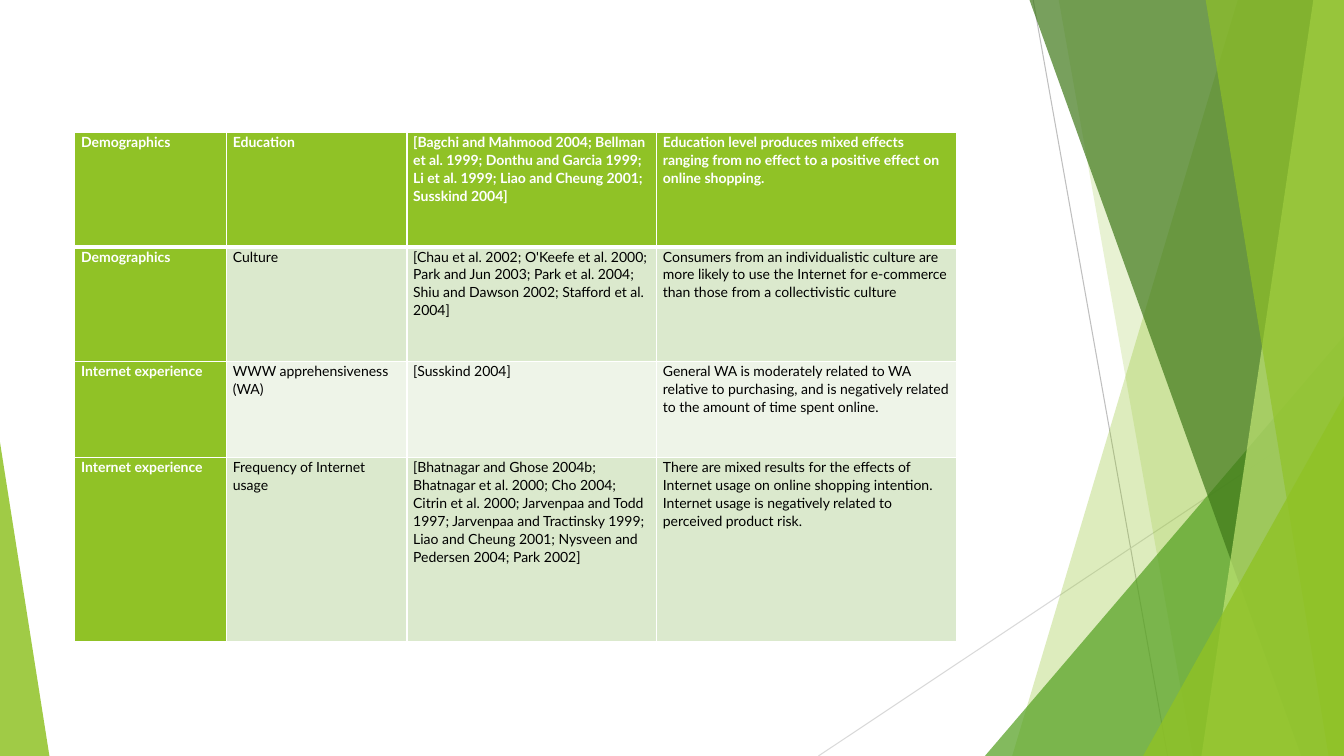
from lxml import etree
from pptx import Presentation
from pptx.dml.color import RGBColor
from pptx.enum.shapes import MSO_CONNECTOR, MSO_SHAPE
from pptx.oxml.ns import qn
from pptx.util import Pt

STRAIGHT = MSO_CONNECTOR.STRAIGHT
TRIANGLE = MSO_SHAPE.ISOSCELES_TRIANGLE

WHITE = RGBColor(0xFF, 0xFF, 0xFF)
BLACK = RGBColor(0x00, 0x00, 0x00)
LIME = RGBColor(0x90, 0xC2, 0x26)
LIGHT_LIME = RGBColor(0xC0, 0xE4, 0x74)
GREEN = RGBColor(0x54, 0xA0, 0x21)
DARK_GREEN = RGBColor(0x3F, 0x78, 0x19)
BAND_DARK = RGBColor(0xDB, 0xE9, 0xCD)
BAND_LIGHT = RGBColor(0xEE, 0xF4, 0xE8)
GREY = RGBColor(0xBF, 0xBF, 0xBF)
PALE_GREY = RGBColor(0xD9, 0xD9, 0xD9)

WIDTH, HEIGHT = 960, 540
TOP = -0.6  # the facets start just above the slide edge


def write_text(frame, text, font="Lato", size=10, color=BLACK, bold=False, spacing=1.07):
    paragraph = frame.paragraphs[0]
    paragraph.line_spacing = spacing
    run = paragraph.add_run()
    run.text = text
    run.font.name = font
    run.font.size = Pt(size)
    run.font.bold = bold
    run.font.color.rgb = color


class SlideBuilder:
    """Draws on one slide in a shared style; lengths are in points."""

    def __init__(self, slide, border_color=WHITE, cell_inset=4.5):
        self.slide = slide
        self.border_color = border_color
        self.cell_inset = cell_inset

    def line(self, start, end, color, width=0.75):
        ends = [Pt(value) for value in (*start, *end)]
        connector = self.slide.shapes.add_connector(STRAIGHT, *ends)
        connector.line.color.rgb = color
        connector.line.width = Pt(width)
        etree.SubElement(connector._element.spPr, qn("a:effectLst"))

    def paint(self, shape, color, opacity):
        shape.shadow.inherit = False
        shape.line.fill.background()
        shape.fill.solid()
        shape.fill.fore_color.rgb = color
        tint = shape._element.spPr.find(qn("a:solidFill"))[0]
        etree.SubElement(tint, qn("a:alpha"), val=str(opacity * 1000))

    def facet(self, top_left, bottom_left, color, opacity):
        """Panel with a slanted left side that reaches the right slide edge."""
        corners = [(WIDTH, TOP), (WIDTH, HEIGHT), (bottom_left, HEIGHT)]
        outline = self.slide.shapes.build_freeform(Pt(top_left), Pt(TOP))
        outline.add_line_segments([(Pt(x), Pt(y)) for x, y in corners])
        self.paint(outline.convert_to_shape(), color, opacity)

    def corner(self, left, top, width, apex, color, opacity):
        """Right triangle standing on the bottom slide edge."""
        box = [Pt(value) for value in (left, top, width, HEIGHT - top)]
        triangle = self.slide.shapes.add_shape(TRIANGLE, *box)
        triangle.adjustments[0] = apex
        self.paint(triangle, color, opacity)

    def cell_border(self, cell, side, width):
        properties = cell._tc.get_or_add_tcPr()
        edge = etree.SubElement(properties, qn(f"a:ln{side}"), w=str(Pt(width)))
        fill = etree.SubElement(edge, qn("a:solidFill"))
        etree.SubElement(fill, qn("a:srgbClr"), val=str(self.border_color))

    def table(self, left, top, column_widths, row_heights, rows):
        frame = self.slide.shapes.add_table(
            len(rows), len(column_widths), Pt(left), Pt(top),
            Pt(sum(column_widths)), Pt(sum(row_heights)))
        table = frame.table
        for column, width in zip(table.columns, column_widths):
            column.width = Pt(width)
        for row, height in zip(table.rows, row_heights):
            row.height = Pt(height)
        for r, texts in enumerate(rows):
            for c, text in enumerate(texts):
                self.cell(table.cell(r, c), text, r, c)

    def cell(self, cell, text, row, column):
        heading = row == 0 or column == 0
        band = BAND_DARK if row % 2 else BAND_LIGHT
        cell.margin_left = cell.margin_right = Pt(self.cell_inset)
        cell.margin_top = cell.margin_bottom = 0
        # The rule below the first row is heavier
        widths = {"L": 1, "R": 1, "T": 3 if row == 1 else 1, "B": 3 if row == 0 else 1}
        for side, width in widths.items():
            self.cell_border(cell, side, width)
        cell.fill.solid()
        cell.fill.fore_color.rgb = LIME if heading else band
        write_text(cell.text_frame, text, color=WHITE if heading else BLACK, bold=heading)


presentation = Presentation()
presentation.slide_width, presentation.slide_height = Pt(WIDTH), Pt(HEIGHT)
builder = SlideBuilder(presentation.slides.add_slide(presentation.slide_layouts[6]))

# Backdrop of thin lines and translucent facets
builder.line((738, 0), (834, HEIGHT), GREY)
builder.line((WIDTH, 290), (584.6, HEIGHT), PALE_GREY)
builder.facet(884.3, 723, LIME, 30)
builder.facet(756.2, 852, LIME, 20)
builder.corner(703.5, 240, 256.5, 1, GREEN, 72)
builder.facet(735.2, 929.5, DARK_GREEN, 70)
builder.facet(938.2, 858.2, LIGHT_LIME, 70)
builder.facet(861.1, 949, LIME, 65)
builder.corner(816.5, 283, 143.5, 1, LIME, 80)
builder.corner(0, 316, 35.3, 0, LIME, 85)

# Findings on online shopping by factor
FINDINGS = [
    ("Demographics", "Education",
     "[Bagchi and Mahmood 2004; Bellman et al. 1999; Donthu and Garcia 1999; "
     "Li et al. 1999; Liao and Cheung 2001; Susskind 2004]",
     "Education level produces mixed effects ranging from no effect to a "
     "positive effect on online shopping."),
    ("Demographics", "Culture",
     "[Chau et al. 2002; O'Keefe et al. 2000; Park and Jun 2003; Park et al. 2004; "
     "Shiu and Dawson 2002; Stafford et al. 2004]",
     "Consumers from an individualistic culture are more likely to use the Internet "
     "for e-commerce than those from a collectivistic culture"),
    ("Internet experience", "WWW apprehensiveness (WA)",
     "[Susskind 2004]",
     "General WA is moderately related to WA relative to purchasing, and is "
     "negatively related to the amount of time spent online."),
    ("Internet experience", "Frequency of Internet usage",
     "[Bhatnagar and Ghose 2004b; Bhatnagar et al. 2000; Cho 2004; Citrin et al. 2000; "
     "Jarvenpaa and Todd 1997; Jarvenpaa and Tractinsky 1999; Liao and Cheung 2001; "
     "Nysveen and Pedersen 2004; Park 2002]",
     "There are mixed results for the effects of Internet usage on online shopping "
     "intention. Internet usage is negatively related to perceived product risk."),
]
builder.table(53.5, 94.5, (108.4, 128.8, 178.4, 214.4), (82, 82, 68.5, 131.5), FINDINGS)

presentation.save("out.pptx")
